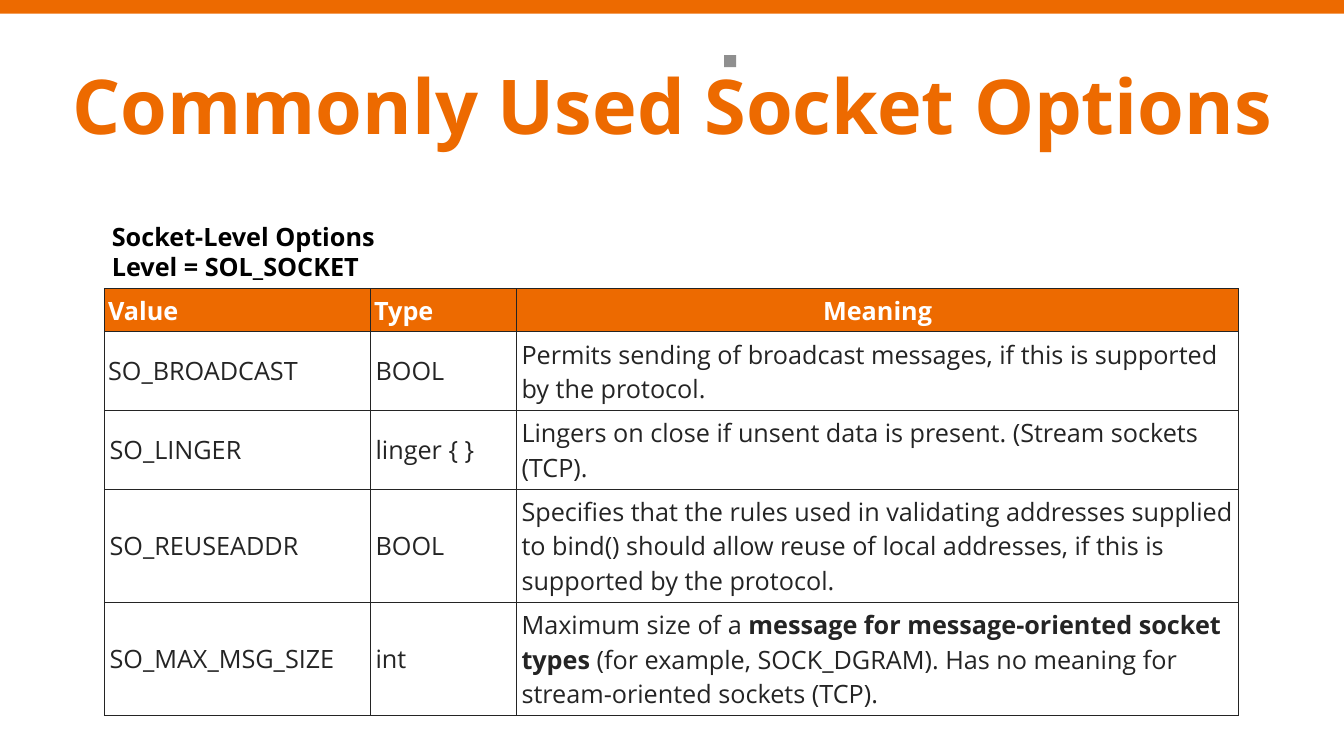
import pptx
import pptx.util
import pptx.dml.color
import pptx.enum.shapes
import pptx.enum.text
import pptx.oxml
import pptx.oxml.ns
from lxml import etree

Inches, Pt = pptx.util.Inches, pptx.util.Pt
RGBColor = pptx.dml.color.RGBColor
ANCHOR = pptx.enum.text.MSO_ANCHOR
ALIGN = pptx.enum.text.PP_ALIGN

ORANGE = RGBColor(0xED, 0x6A, 0x00)
WHITE = RGBColor(0xFF, 0xFF, 0xFF)
BLACK = RGBColor(0, 0, 0)
INK = RGBColor(0x24, 0x24, 0x24)
GREY = RGBColor(0x8F, 0x8F, 0x8F)
FONT = "Open Sans"

TITLE = "Commonly Used Socket Options"
CAPTION = ["Socket-Level Options", "Level = SOL_SOCKET"]
HEADER = ["Value", "Type", "Meaning"]
# A meaning is a list of runs; every second run is bold.
OPTIONS = [
    ("SO_BROADCAST", "BOOL",
     ["Permits sending of broadcast messages, if this is supported by the protocol."]),
    ("SO_LINGER", "linger { }",
     ["Lingers on close if unsent data is present. (Stream sockets (TCP)."]),
    ("SO_REUSEADDR", "BOOL",
     ["Specifies that the rules used in validating addresses supplied to bind() "
      "should allow reuse of local addresses, if this is supported by the protocol."]),
    ("SO_MAX_MSG_SIZE", "int",
     ["Maximum size of a ", "message for message-oriented socket types",
      " (for example, SOCK_DGRAM). Has no meaning for stream-oriented sockets (TCP)."]),
]
COL_WIDTHS = [3.52, 1.93, 9.56]
ROW_HEIGHTS = [0.57, 1.04, 1.04, 1.5, 1.5]


def add_run(p, text, size, color, bold):
    r = p.add_run()
    r.text = text
    r.font.color.rgb = color
    for name, value in {"name": FONT, "size": Pt(size), "bold": bold}.items():
        setattr(r.font, name, value)


def set_insets(target, inset):
    for side in ("left", "top", "right", "bottom"):
        setattr(target, f"margin_{side}", Inches(inset))


def add_block(s, box, color):
    sp = s.shapes.add_shape(pptx.enum.shapes.MSO_SHAPE.RECTANGLE, *map(Inches, box))
    sp.shadow.inherit = False
    sp.fill.solid()
    sp.fill.fore_color.rgb = color
    sp.line.fill.background()


def add_text(s, box, lines, size, color, inset, wrap, anchor, spacing):
    tf = s.shapes.add_textbox(*map(Inches, box)).text_frame
    set_insets(tf, inset)
    tf.word_wrap, tf.vertical_anchor = wrap, anchor
    for i, line in enumerate(lines):
        p = tf.add_paragraph() if i else tf.paragraphs[0]
        p.line_spacing = spacing
        add_run(p, line, size, color, True)
    return tf


def add_borders(cell):
    tc_pr = cell._tc.get_or_add_tcPr()
    for i, side in enumerate(("lnL", "lnR", "lnT", "lnB")):
        ln = etree.Element(pptx.oxml.ns.qn(f"a:{side}"), w=str(Pt(1)))
        fill = etree.SubElement(ln, pptx.oxml.ns.qn("a:solidFill"))
        etree.SubElement(fill, pptx.oxml.ns.qn("a:srgbClr"), val=str(INK))
        tc_pr.insert(i, ln)


def add_options_table(s):
    rows = [HEADER] + OPTIONS
    table = s.shapes.add_table(
        len(rows), len(HEADER), Inches(1.38), Inches(3.82),
        Inches(sum(COL_WIDTHS)), Inches(sum(ROW_HEIGHTS))).table
    table.first_row = table.horz_banding = False
    for column, width in zip(table.columns, COL_WIDTHS):
        column.width = Inches(width)
    for row, height in zip(table.rows, ROW_HEIGHTS):
        row.height = Inches(height)

    for i, row in enumerate(rows):
        for j, content in enumerate(row):
            cell = table.cell(i, j)
            header = i == 0
            cell.vertical_anchor = ANCHOR.MIDDLE
            set_insets(cell, 0.05 if header or (i, j) == (1, 0) else 0.07)
            if header:
                cell.fill.solid()
                cell.fill.fore_color.rgb = ORANGE
            else:
                cell.fill.background()
            add_borders(cell)
            p = cell.text_frame.paragraphs[0]
            p.alignment = ALIGN.CENTER if header and j == 2 else ALIGN.LEFT
            runs = [content] if isinstance(content, str) else content
            for k, text in enumerate(runs):
                add_run(p, text, 24, WHITE if header else INK, header or k % 2 == 1)


def main():
    prs = pptx.Presentation()
    prs.slide_width, prs.slide_height = Inches(17.78), Inches(10)
    s = prs.slides.add_slide(prs.slide_layouts[6])

    add_block(s, (-0.01, -0.01, 17.81, 0.19), ORANGE)
    add_block(s, (9.58, 0.73, 0.16, 0.16), GREY)
    add_text(s, (0.89, 0.4, 16.35, 1.67), [TITLE], 72, ORANGE,
             0.07, True, ANCHOR.BOTTOM, 0.9)
    add_options_table(s)
    caption = add_text(s, (1.43, 2.88, 3.61, 0.91), CAPTION, 24, BLACK,
                       0.05, False, ANCHOR.TOP, 1.0)
    caption.auto_size = pptx.enum.text.MSO_AUTO_SIZE.SHAPE_TO_FIT_TEXT

    prs.save("out.pptx")


if __name__ == "__main__":
    main()
